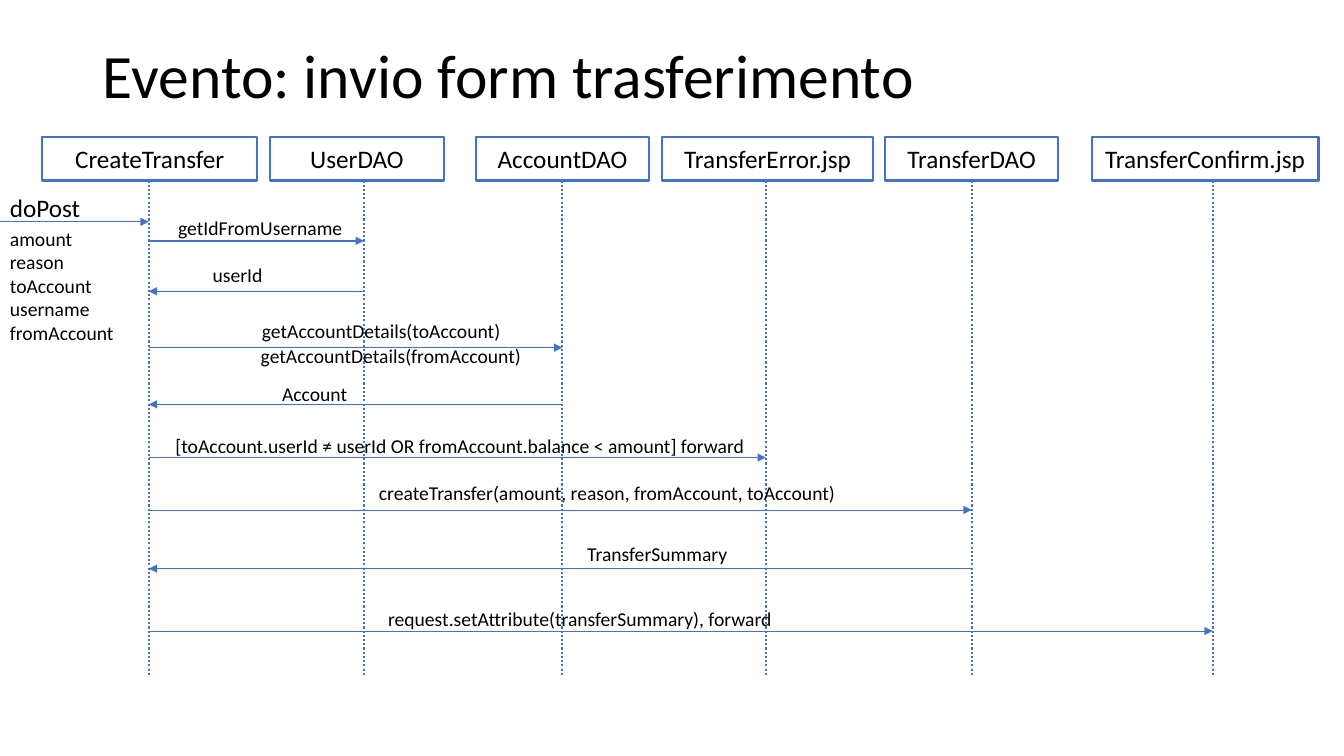
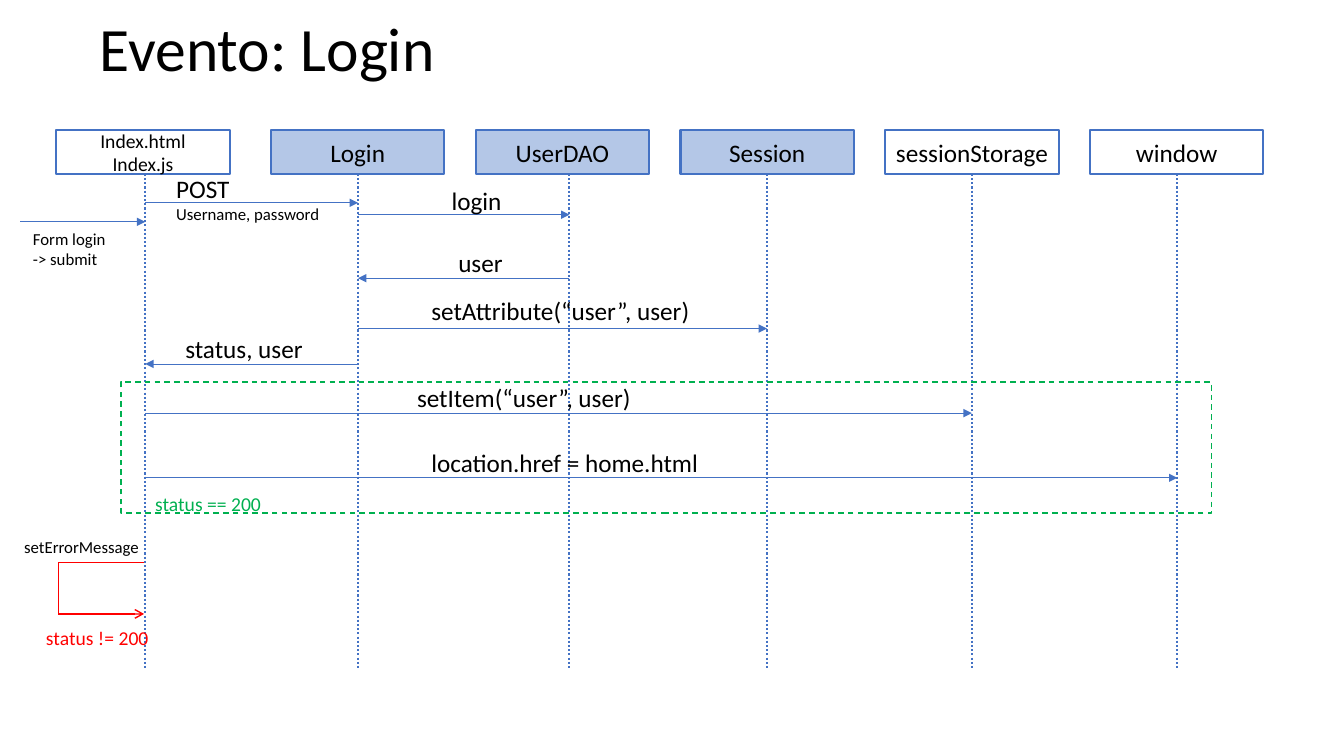
"""Build two sequence diagrams: a transfer form and a login."""
from pptx import Presentation
from pptx.dml.color import RGBColor
from pptx.enum.dml import MSO_LINE as Dash
from pptx.enum.shapes import MSO_CONNECTOR as Conn, MSO_SHAPE as Shape
from pptx.enum.text import MSO_ANCHOR as Anchor, PP_ALIGN as Align
from pptx.oxml.ns import qn
from pptx.util import Cm, Pt
from lxml.etree import SubElement as Sub

BLACK = RGBColor(0, 0, 0)
BLUE = RGBColor(0x44, 0x72, 0xC4)
PALE = RGBColor(0xB4, 0xC7, 0xE7)
GREEN = RGBColor(0, 0xB0, 0x50)
RED = RGBColor(0xFF, 0, 0)
FONT = "Calibri"
HEAD_W, HEAD_H, LIFE_H = 4.37, 1.1, 12.47
OUT = None

# heads: name, left, width, lifeline x, size, fill
# calls: from, to, y, weight
# notes: text, left, top, width, size or sizes, colour
TRANSFER = {
    "title": ("Evento: invio form trasferimento", 2.34, 0.81),
    "top": 3.45,
    "edge": 0,
    "heads": [
        ("CreateTransfer", 1.07, 5.41, 3.75, 18, None),
        ("UserDAO", 6.81, HEAD_W, 9.17, 18, None),
        ("AccountDAO", 11.99, HEAD_W, 14.17, 18, None),
        ("TransferError.jsp", 16.69, 5.31, 19.3, 18, None),
        ("TransferDAO", 22.3, HEAD_W, 24.49, 18, None),
        ("TransferConfirm.jsp", 27.51, 5.72, 30.56, 18, None),
    ],
    "calls": [
        (OUT, 0, 5.59, 0.5),
        (0, 1, 6.07, 1),
        (1, 0, 7.34, 0.5),
        (0, 2, 8.76, 0.5),
        (2, 0, 10.19, 0.5),
        (0, 3, 11.53, 0.5),
        (0, 4, 12.85, 0.5),
        (4, 0, 14.33, 0.5),
        (0, 5, 15.9, 0.5),
    ],
    "notes": [
        ("doPost", 0, 4.72, 2.32, 18, BLACK),
        ("amount\nreason\ntoAccount\nusername\nfromAccount",
         0, 5.59, 3.2, 14, BLACK),
        ("getIdFromUsername", 4.24, 5.31, 4.75, 14, BLACK),
        ("userId", 5.11, 6.5, 2.15, 14, BLACK),
        ("getAccountDetails(toAccount)", 6.35, 7.92, 6.85, 14, BLACK),
        ("getAccountDetails(fromAccount)", 6.32, 8.53, 8.08, 14, BLACK),
        ("Account", 6.86, 9.5, 2.2, 14, BLACK),
        ("[toAccount.userId ≠ userId OR fromAccount.balance < amount] forward",
         4.17, 10.8, 15.1, 14, BLACK),
        ("createTransfer(amount, reason, fromAccount, toAccount)",
         9.3, 11.99, 12.25, 14, BLACK),
        ("TransferSummary", 14.55, 13.54, 4.1, 14, BLACK),
        ("request.setAttribute(transferSummary), forward",
         9.53, 15.16, 10.35, 14, BLACK),
    ],
}
LOGIN = {
    "title": ("Evento: Login", 2.26, 0.13),
    "top": 3.28,
    "edge": 0.51,
    "heads": [
        ("Index.html\nIndex.js", 1.42, HEAD_W, 3.66, 14, None),
        ("Login", 6.83, HEAD_W, 9.02, 18, PALE),
        ("UserDAO", 11.99, HEAD_W, 14.35, 18, PALE),
        ("Session", 17.15, HEAD_W, 19.33, 18, PALE),
        ("sessionStorage", 22.31, HEAD_W, 24.49, 18, None),
        ("window", 27.47, HEAD_W, 29.67, 18, None),
    ],
    "calls": [
        (OUT, 0, 5.59, 0.5),
        (0, 1, 5.11, 0.5),
        (1, 2, 5.41, 1),
        (2, 1, 7.01, 0.5),
        (1, 3, 8.28, 0.5),
        (1, 0, 9.17, 0.5),
        (0, 4, 10.41, 0.5),
        (0, 5, 12.04, 0.5),
    ],
    "notes": [
        ("Form login\n-> submit", 0.58, 5.64, 2.6, 12, BLACK),
        ("POST\nUsername, password", 4.19, 4.24, 4.3, (18, 12), BLACK),
        ("login", 11.13, 4.55, 1.9, 18, BLACK),
        ("user", 11.3, 6.12, 1.8, 18, BLACK),
        ("setAttribute(“user”, user)", 10.62, 7.32, 7.2, 18, BLACK),
        ("status, user", 4.42, 8.28, 3.6, 18, BLACK),
        ("setItem(“user”, user)", 10.26, 9.5, 6.1, 18, BLACK),
        ("location.href = home.html", 10.62, 11.15, 7.6, 18, BLACK),
        ("status == 200", 3.66, 12.27, 3.4, 14, GREEN),
        ("status != 200", 0.91, 15.65, 3.3, 14, RED),
        ("setErrorMessage", 0.36, 13.41, 3.6, 12, BLACK),
    ],
}
FRAME = (3.05, 9.63, 27.48, 3.3)
LOOP = [(3.63, 14.17), (1.47, 14.17), (1.47, 15.47), (3.63, 15.47)]


def write(box, text, size, color=BLACK, align=Align.LEFT, wrap=True):
    frame = box.text_frame
    frame.text = text
    frame.word_wrap = wrap
    sizes = size if isinstance(size, tuple) else [size] * len(frame.paragraphs)
    for para, pts in zip(frame.paragraphs, sizes):
        para.alignment = align
        font = para.runs[0].font
        font.name, font.size = FONT, Pt(pts)
        font.color.rgb = color
    return sum(sizes)


def add_title(slide, text, left, top):
    box = slide.shapes.add_textbox(Cm(left), Cm(top), Cm(29.21), Cm(2.35))
    write(box, text, 44)
    box.text_frame.vertical_anchor = Anchor.MIDDLE
    box.text_frame.paragraphs[0].line_spacing = 0.9


def add_box(slide, left, top, width, height, color, weight, fill=None):
    box = slide.shapes.add_shape(
        Shape.RECTANGLE, Cm(left), Cm(top), Cm(width), Cm(height))
    box.shadow.inherit = False
    if fill is None:
        box.fill.background()
    else:
        box.fill.solid()
        box.fill.fore_color.rgb = fill
    box.line.color.rgb = color
    box.line.width = Pt(weight)
    return box


def add_line(slide, start, end, color, weight, dash=None, tip=None):
    line = slide.shapes.add_connector(
        Conn.STRAIGHT, *(Cm(n) for n in (*start, *end)))
    line.line.color.rgb = color
    line.line.width = Pt(weight)
    if dash:
        line.line.dash_style = dash
    props = line.element.spPr
    if tip:
        Sub(props.find(qn("a:ln")), qn("a:tailEnd"), type=tip)
    Sub(props, qn("a:effectLst"))


def add_note(slide, text, left, top, width, size, color):
    box = slide.shapes.add_textbox(Cm(left), Cm(top), Cm(width), Cm(1))
    total = write(box, text, size, color)
    box.height = Cm(0.25 + 0.043 * total)


def add_flow(deck, flow):
    slide = deck.slides.add_slide(deck.slide_layouts[6])
    add_title(slide, *flow["title"])
    top = flow["top"]
    base = top + HEAD_H
    lives = {OUT: flow["edge"]}
    for pos, (name, left, width, x, size, fill) in enumerate(flow["heads"]):
        head = add_box(slide, left, top, width, HEAD_H, BLUE, 1.5, fill)
        write(head, name, size, align=Align.CENTER, wrap=False)
        head.text_frame.vertical_anchor = Anchor.MIDDLE
        add_line(slide, (x, base), (x, base + LIFE_H), BLUE, 1.5,
                 dash=Dash.ROUND_DOT)
        lives[pos] = x
    for start, end, y, weight in flow["calls"]:
        add_line(slide, (lives[start], y), (lives[end], y), BLUE, weight,
                 tip="triangle")
    for note in flow["notes"]:
        add_note(slide, *note)
    return slide


deck = Presentation()
deck.slide_width, deck.slide_height = Cm(33.87), Cm(19.05)
add_flow(deck, TRANSFER)
login = add_flow(deck, LOGIN)
add_box(login, *FRAME, GREEN, 1).line.dash_style = Dash.DASH
for start, end in zip(LOOP, LOOP[1:]):
    add_line(login, start, end, RED, 1,
             tip="arrow" if end == LOOP[-1] else None)
deck.save("out.pptx")
